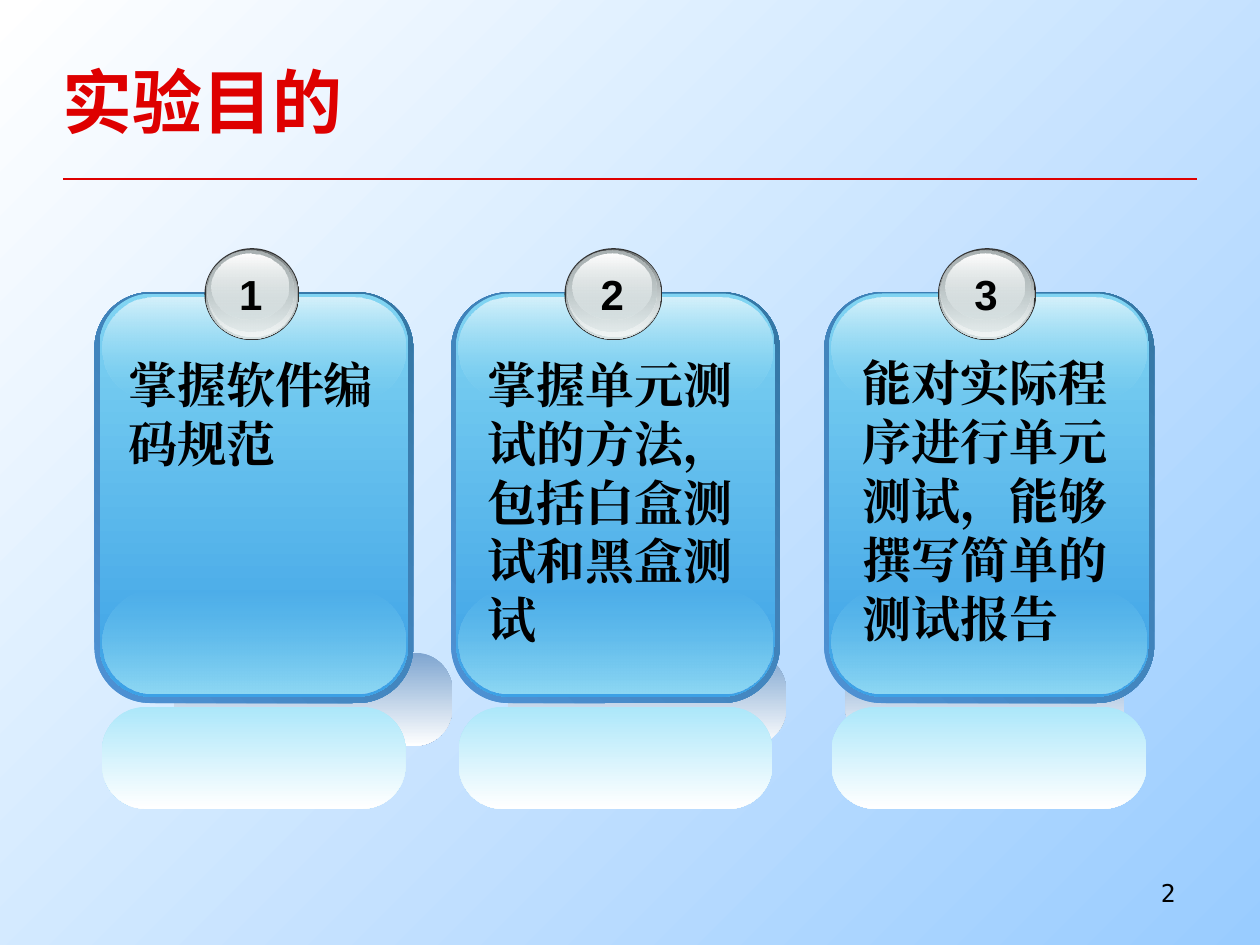
from lxml import etree
from pptx import Presentation
from pptx.dml.color import RGBColor
from pptx.enum.shapes import MSO_CONNECTOR, MSO_SHAPE
from pptx.enum.text import MSO_ANCHOR, PP_ALIGN
from pptx.oxml.ns import qn
from pptx.util import Inches, Pt

STRAIGHT = MSO_CONNECTOR.STRAIGHT
ROUNDED, OVAL = MSO_SHAPE.ROUNDED_RECTANGLE, MSO_SHAPE.OVAL
TOP, MIDDLE = MSO_ANCHOR.TOP, MSO_ANCHOR.MIDDLE
LEFT, RIGHT = PP_ALIGN.LEFT, PP_ALIGN.RIGHT

COLUMNS = 10
RED, BLACK, WHITE = "DE0000", "000000", "FFFFFF"

# text, card left, card width, shadow left, text left, text top, text width
CARDS = [
    ("掌握软件编码规范", 0.75, 2.53, 1.38, 0.92, 2.76, 2.17),
    ("掌握单元测试的方法，包括白盒测试和黑盒测试", 3.58, 2.61, 4.03, 3.77, 2.76, 2.23),
    ("能对实际程序进行单元测试，能够撰写简单的测试报告", 6.54, 2.62, 6.71, 6.75, 2.75, 2.2),
]
# side inset, top, height, corner, gradient stops, angle
LAYERS = [
    (0, 2.32, 3.26, 0.175, [("4E91D4", 100), ("3477A4", 100)], 315),
    (0.04, 2.33, 3.2, 0.168, [("80D4F2", 100), ("3CA1E6", 100)], 90),
    (0.06, 4.69, 0.81, 0.5, [("80D4F2", 0), ("8FD9F4", 100)], 90),
    (0.06, 2.36, 0.81, 0.5, [("D5F1FB", 100), ("80D4F2", 0)], 90),
    (0.06, 5.61, 0.81, 0.429, [("ACE7FA", 100), (WHITE, 100)], 90),
]
# left offset, width reduction, top, height, gradient stops
DISCS = [
    (0, 0, 1.97, 0.73, [("333333", 100), ("333333", 100)]),
    (0.01, 0.02, 1.98, 0.71, [("636869", 100), ("D6E1E2", 100)]),
    (0.02, 0.04, 1.98, 0.69, [("D6E1E2", 0), ("F1F5F5", 100)]),
    (0.02, 0.07, 1.99, 0.64, [("AAB2B3", 100), ("D6E1E2", 48)]),
    (0.06, 0.15, 2.01, 0.53, [(WHITE, 100), ("D6E1E2", 38)]),
]
SHADOW = [("7EA5D0", 100), (WHITE, 100)]


def color(value):
    return RGBColor.from_string(value)


class SlideBuilder:
    """Draws styled elements on the current slide, in square grid units."""

    def __init__(self, deck):
        self.unit = deck.slide_width / COLUMNS
        self.page = deck.slides.add_slide(deck.slide_layouts[6])

    def place(self, *lengths):
        return [round(length * self.unit) for length in lengths]

    def gradient(self, fill, stops, angle):
        fill.gradient()
        fill.gradient_angle = (360 - angle) % 360
        for stop, (value, _) in zip(fill.gradient_stops, stops):
            stop.color.rgb = color(value)

    def shape(self, kind, left, top, width, height, stops, angle=90, corner=None):
        shape = self.page.shapes.add_shape(kind, *self.place(left, top, width, height))
        shape.shadow.inherit = False
        if corner is not None:
            shape.adjustments[0] = corner
        self.gradient(shape.fill, stops, angle)
        shape.line.fill.background()
        tones = shape._element.spPr.iter(qn("a:srgbClr"))
        for tone, (_, opacity) in zip(tones, stops):
            if opacity < 100:
                etree.SubElement(tone, qn("a:alpha"), val=str(opacity * 1000))

    def rule(self, left, right, top, value, weight):
        line = self.page.shapes.add_connector(STRAIGHT, *self.place(left, top, right, top))
        line.line.color.rgb = color(value)
        line.line.width = Pt(weight)
        etree.SubElement(line._element.spPr, qn("a:effectLst"))

    def text(self, text, left, top, width, height, *, size, font, value=BLACK, bold=True,
             align=LEFT, anchor=TOP, wrap=True, margins=(0.1, 0.05), before=None, spacing=None):
        box = self.page.shapes.add_textbox(*self.place(left, top, width, height))
        frame = box.text_frame
        frame.word_wrap = wrap
        frame.vertical_anchor = anchor
        frame.margin_left = frame.margin_right = Inches(margins[0])
        frame.margin_top = frame.margin_bottom = Inches(margins[1])
        para = frame.paragraphs[0]
        para.alignment = align
        if before:
            para.space_before = Pt(before)
        if spacing:
            para.line_spacing = Pt(spacing)
        span = para.add_run()
        span.text = text
        span.font.size = Pt(size)
        span.font.bold = bold
        span.font.name = font
        span.font.color.rgb = color(value)
        etree.SubElement(span.font._element, qn("a:ea"), typeface=font)

    def card(self, number, text, left, width, shadow_left, text_left, text_top, text_width):
        self.shape(ROUNDED, shadow_left, 5.18, 2.21, 0.74, SHADOW, corner=0.404)
        for inset, top, height, corner, stops, angle in LAYERS:
            self.shape(ROUNDED, left + inset, top, width - 2 * inset, height,
                       stops, angle, corner)
        badge_left, badge_width = left + 0.345 * width, 0.298 * width
        for offset, reduction, top, height, stops in DISCS:
            self.shape(OVAL, badge_left + offset, top, badge_width - reduction, height, stops)
        self.text(str(number), badge_left + badge_width / 2 - 0.2, 2.08, 0.38, 0.5,
                  size=24, font="Arial", wrap=False)
        self.text(text, text_left, text_top, text_width, 2.44, size=28,
                  font="Times New Roman", before=6, spacing=33.7)


def main():
    deck = Presentation()
    deck.slide_width, deck.slide_height = Inches(10), Inches(7.5)
    builder = SlideBuilder(deck)
    builder.gradient(builder.page.background.fill, [(WHITE, 100), ("99CCFF", 100)], 45)
    builder.rule(0.5, 9.5, 1.42, RED, 1.5)
    builder.text("2", 7.83, 6.92, 1.6, 0.37, size=14, font="DejaVu Sans Mono",
                 bold=False, align=RIGHT)
    builder.text("实验目的", 0.5, 0.17, 9, 1.25, size=40, font="Noto Sans CJK SC",
                 value=RED, anchor=MIDDLE, margins=(0, 0))
    for number, card in enumerate(CARDS, start=1):
        builder.card(number, *card)
    deck.save("out.pptx")


if __name__ == "__main__":
    main()
